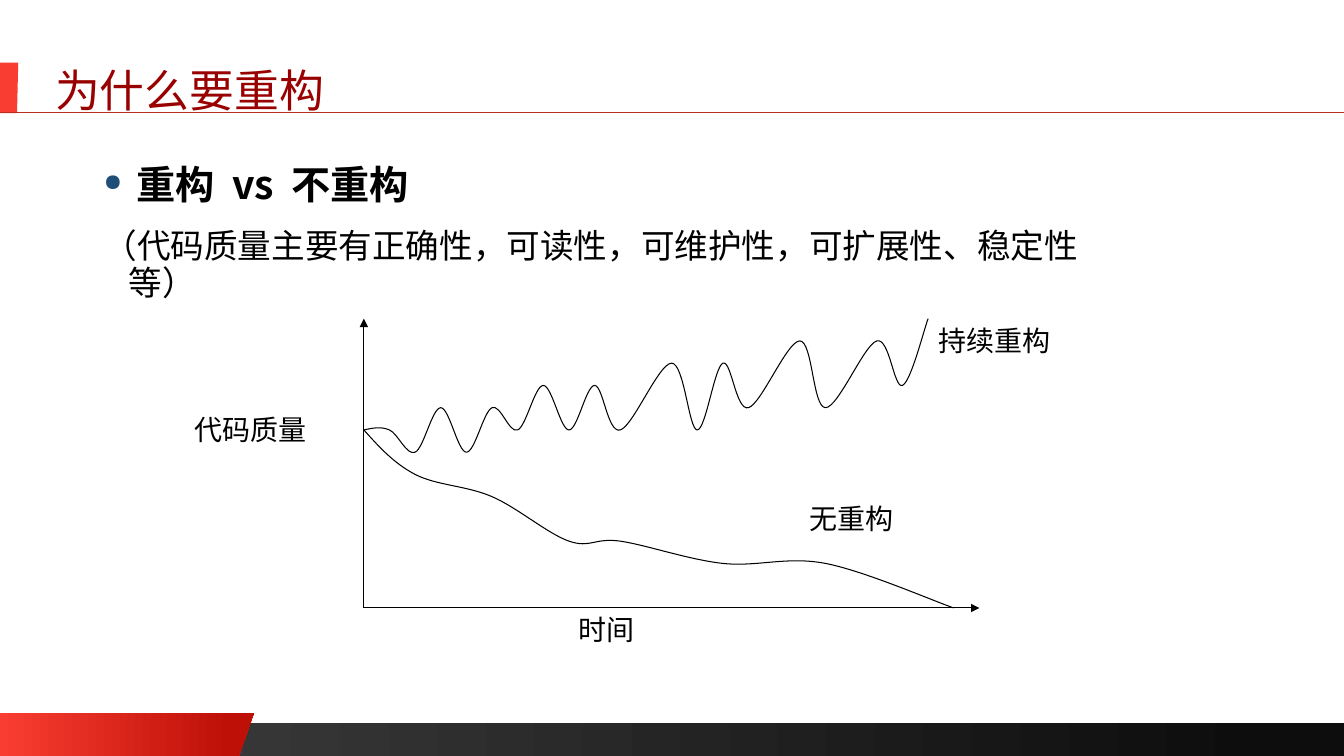
import pptx
import pptx.dml.color
import pptx.enum.shapes
import pptx.enum.text
import pptx.oxml
import pptx.oxml.ns
import pptx.util

Cm = pptx.util.Cm
Pt = pptx.util.Pt
qn = pptx.oxml.ns.qn
ALIGN = pptx.enum.text.PP_ALIGN


def rgb(value):
    return pptx.dml.color.RGBColor.from_string(value)


def add_xml(parent, tag, **attrs):
    el = parent.makeelement(qn(tag), attrs)
    parent.append(el)
    return el


class SlideBuilder:
    cjk = "Noto Sans CJK SC"
    black = "000000"
    thin = 0.75

    def __init__(self, prs):
        self.s = prs.slides.add_slide(prs.slide_layouts[6])

    def fill(self, sp, *colors, end=100):
        sp.shadow.inherit = False
        sp.line.fill.background()
        if len(colors) == 1:
            sp.fill.solid()
            sp.fill.fore_color.rgb = rgb(colors[0])
            return
        sp.fill.gradient()
        sp.fill.gradient_angle = 0
        for stop, color, position in zip(sp.fill.gradient_stops, colors, (0, end / 100)):
            stop.color.rgb = rgb(color)
            stop.position = position

    def bar(self, x, y, w, h, *colors, end=100):
        kind = pptx.enum.shapes.MSO_SHAPE.RECTANGLE
        sp = self.s.shapes.add_shape(kind, Cm(x), Cm(y), Cm(w), Cm(h))
        self.fill(sp, *colors, end=end)

    def outline(self, points, close):
        pts = [(Cm(x), Cm(y)) for x, y in points]
        fb = self.s.shapes.build_freeform(*pts[0], scale=1.0)
        fb.add_line_segments(pts[1:], close=close)
        return fb.convert_to_shape()

    def slanted_bar(self, y, top, bottom, h, *colors, end=100):
        sp = self.outline([(0, y), (top, y), (bottom, y + h), (0, y + h)], True)
        self.fill(sp, *colors, end=end)

    def curve(self, points):
        sp = self.outline(points, False)
        sp.shadow.inherit = False
        sp.fill.background()
        sp.line.color.rgb = rgb(self.black)
        sp.line.width = Pt(self.thin)
        path = next(sp._element.iter(qn("a:path")))
        knots = [(int(pt.get("x")), int(pt.get("y"))) for pt in path.iter(qn("a:pt"))]
        for segment in path.findall(qn("a:lnTo")):
            path.remove(segment)
        last = len(knots) - 1
        for i in range(last):
            before, a = knots[max(i - 1, 0)], knots[i]
            b, after = knots[i + 1], knots[min(i + 2, last)]
            c2 = [b[k] - (after[k] - a[k]) / 6 for k in (0, 1)]
            if i == 0:
                c1 = [(a[k] + c2[k]) / 2 for k in (0, 1)]
            else:
                c1 = [a[k] + (b[k] - before[k]) / 6 for k in (0, 1)]
            bez = add_xml(path, "a:cubicBezTo")
            for x, y in (c1, c2, b):
                add_xml(bez, "a:pt", x=str(round(x)), y=str(round(y)))

    def line(self, start, end, color, width, arrow=False):
        kind = pptx.enum.shapes.MSO_CONNECTOR.STRAIGHT
        cn = self.s.shapes.add_connector(kind, *map(Cm, start + end))
        cn.line.color.rgb = rgb(color)
        cn.line.width = Pt(width)
        if arrow:
            add_xml(cn.line._get_or_add_ln(), "a:tailEnd", type="triangle")
        add_xml(cn._element.spPr, "a:effectLst")

    def box(self, x, y, w, h):
        tb = self.s.shapes.add_textbox(Cm(x), Cm(y), Cm(w), Cm(h))
        tb.text_frame.word_wrap = True
        return tb.text_frame

    def run(self, p, text, size, font, color=black, bold=False, spacing=0):
        r = p.add_run()
        r.text = text
        r.font.size = Pt(size)
        r.font.name = font
        r.font.bold = bold
        r.font.color.rgb = rgb(color)
        rPr = r._r.get_or_add_rPr()
        add_xml(rPr, "a:ea", typeface=self.cjk)
        if spacing:
            rPr.set("spc", str(spacing * 100))

    def hang(self, p, indent):
        pPr = p._p.get_or_add_pPr()
        pPr.set("marL", str(Cm(indent)))
        pPr.set("indent", str(-Cm(indent)))
        return pPr

    def bullet(self, p, indent, char, color, percent):
        pPr = self.hang(p, indent)
        add_xml(add_xml(pPr, "a:buClr"), "a:srgbClr", val=color)
        add_xml(pPr, "a:buSzPct", val=str(percent * 1000))
        add_xml(pPr, "a:buChar", char=char)

    def label(self, text, x, y, h):
        p = self.box(x, y, 4.52, h).paragraphs[0]
        p.alignment = ALIGN.JUSTIFY
        self.run(p, text, 20, "Times New Roman")


def add_frame(b):
    b.bar(0, 18.21, 33.87, 0.84, "404040", "0D0D0D", end=94)
    b.slanted_bar(17.96, 6.4, 6.02, 1.09, "F93D32", "BE1007", end=91)
    b.slanted_bar(1.58, 0.46, 0.43, 1.27, "F93D32")


def add_title(b):
    p = b.box(1.14, 1.32, 24.08, 1.47).paragraphs[0]
    p.line_spacing = 1.1
    b.run(p, "为什么要重构", 32, "Roboto", "990000")
    b.line((0, 2.83), (33.87, 2.83), "B82E24", 0.5)


def add_body(b):
    tf = b.box(2.36, 3.56, 26.59, 12.57)
    p = tf.paragraphs[0]
    p.line_spacing, p.space_before, p.space_after = 1.3, Pt(10), Pt(6)
    b.bullet(p, 0.84, "●", "1F4E79", 60)
    for text, spacing in (("重构", 0), (" ", 6), ("vs", 0), (" ", 6), ("不重构", 0)):
        b.run(p, text, 28, b.cjk, bold=True, spacing=spacing)
    p = tf.add_paragraph()
    p.line_spacing, p.space_before = 0.9, Pt(10)
    b.hang(p, 0.64)
    b.run(p, "（代码质量主要有正确性，可读性，可维护性，可扩展性、稳定性等）", 24, b.cjk)


def add_diagram(b):
    def at(column, level):
        return 9.17 + column * 14.22 / 22, 15.32 - level * 7.29 / 13

    for end in ((24, 0), (0, 13)):
        b.line(at(0, 0), at(*end), b.black, b.thin, arrow=True)

    refactored = [(0, 8), (1, 8), (2, 7), (3, 9), (4, 7), (5, 9), (6, 8),
                  (7, 10), (8, 8), (9, 10), (10, 8), (12, 11), (13, 8),
                  (14, 11), (15, 9), (17, 12), (18, 9), (20, 12), (21, 10), (22, 13)]
    neglected = [(0, 8), (2, 6), (5, 5), (8, 3), (10, 3), (14, 2), (18, 2), (23, 0)]
    for knots in (refactored, neglected):
        b.curve([at(*knot) for knot in knots])

    for text, column, level, height in (
        ("代码质量", -7, 9, 2.79),
        ("时间", 8, 0, 1.68),
        ("无重构", 17, 5, 1.68),
        ("持续重构", 22, 13, 1.68),
    ):
        b.label(text, *at(column, level), height)


def main():
    prs = pptx.Presentation()
    prs.slide_width, prs.slide_height = Cm(33.87), Cm(19.05)
    b = SlideBuilder(prs)
    add_frame(b)
    add_body(b)
    add_diagram(b)
    add_title(b)
    prs.save("out.pptx")


if __name__ == "__main__":
    main()
